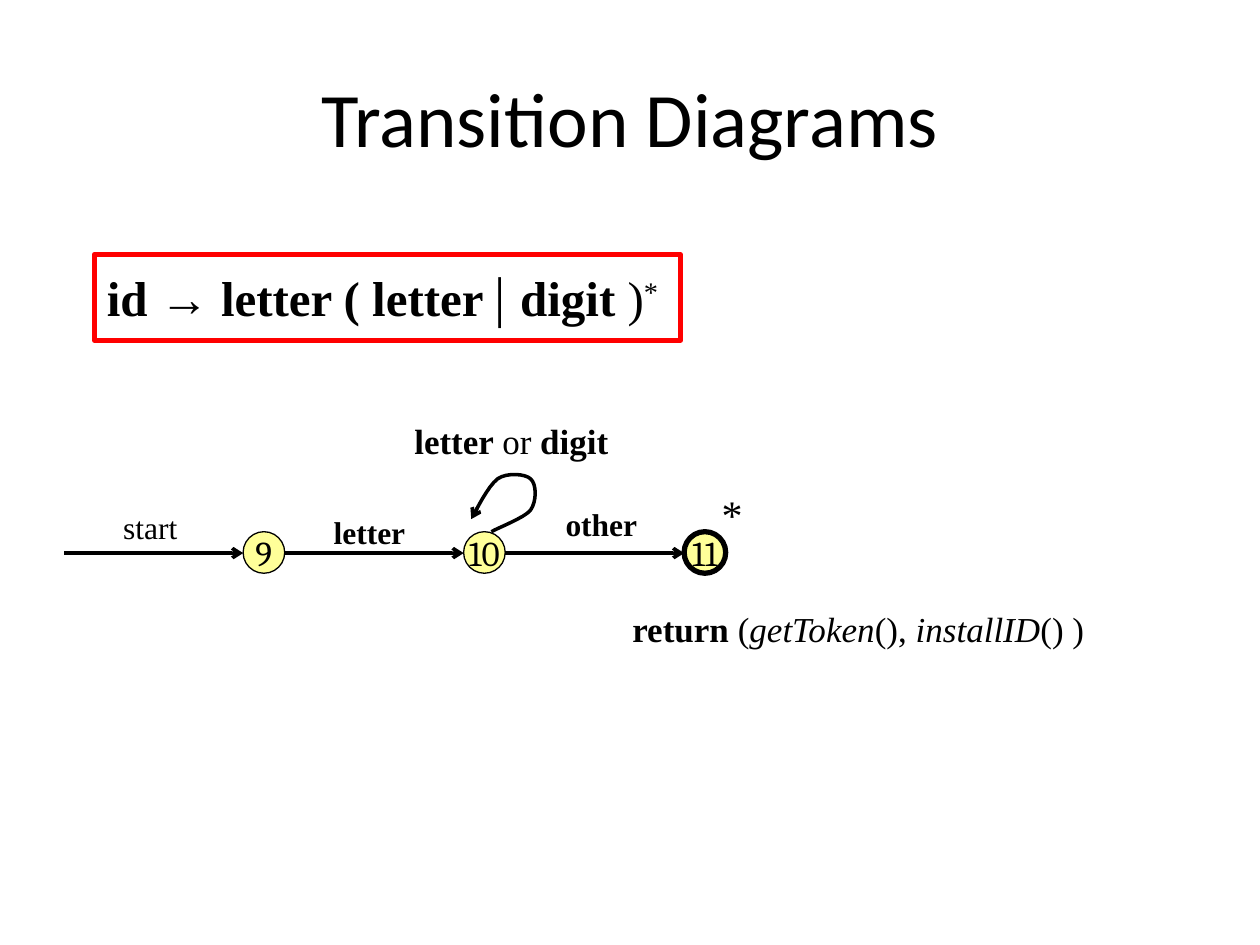
from dataclasses import dataclass

from lxml.etree import SubElement
from pptx import Presentation
from pptx.dml.color import RGBColor
from pptx.enum.shapes import MSO_CONNECTOR, MSO_SHAPE
from pptx.enum.text import MSO_ANCHOR, MSO_AUTO_SIZE, PP_ALIGN
from pptx.oxml.ns import qn
from pptx.util import Inches, Pt


@dataclass(frozen=True)
class Theme:
    ink: RGBColor = RGBColor(0, 0, 0)
    state_fill: RGBColor = RGBColor(0xFF, 0xFF, 0x99)
    frame: RGBColor = RGBColor(0xFF, 0, 0)
    title_font: str = "Calibri"
    state_font: str = "Cambria"
    label_font: str = "Times New Roman"
    title_size: int = 44
    rule_size: int = 28
    bar_size: int = 32
    star_size: int = 24
    phrase_size: int = 20
    label_size: int = 18
    thin: float = 0.75
    edge: float = 2
    thick: float = 3


@dataclass(frozen=True)
class Part:
    text: str
    bold: bool = False
    italic: bool = False
    size: int = 0
    raised: bool = False


class DiagramSlide:
    def __init__(self, slide, theme):
        self.slide = slide
        self.shapes = slide.shapes
        self.theme = theme

    def style(self, paragraph, font_name, size, align=PP_ALIGN.LEFT):
        paragraph.alignment = align
        paragraph.font.name = font_name
        paragraph.font.size = Pt(size)
        paragraph.font.color.rgb = self.theme.ink

    def outline(self, item, color, width):
        item.line.color.rgb = color
        item.line.width = Pt(width)

    def arrowhead(self, item):
        line = item.line._get_or_add_ln()
        SubElement(line, qn("a:tailEnd"), type="arrow")

    def title(self, text, left, top, width, height):
        title = self.shapes.title
        title.left, title.top = Inches(left), Inches(top)
        title.width, title.height = Inches(width), Inches(height)
        title.text_frame.text = text
        title.text_frame.vertical_anchor = MSO_ANCHOR.MIDDLE
        self.style(title.text_frame.paragraphs[0], self.theme.title_font,
                   self.theme.title_size, PP_ALIGN.CENTER)

    def fill_text(self, frame, parts, size, wrap=False):
        frame.word_wrap = wrap
        frame.auto_size = MSO_AUTO_SIZE.SHAPE_TO_FIT_TEXT
        paragraph = frame.paragraphs[0]
        self.style(paragraph, self.theme.label_font, size)
        same_weight = len({part.bold for part in parts}) == 1
        if same_weight:
            paragraph.font.bold = parts[0].bold
        for part in parts:
            run = paragraph.add_run()
            run.text = part.text
            if not same_weight:
                run.font.bold = part.bold
            if part.italic:
                run.font.italic = True
            if part.size:
                run.font.size = Pt(part.size)
            if part.raised:
                run._r.get_or_add_rPr().set("baseline", "30000")

    def label(self, parts, left, top, width, height, size, wrap=False):
        box = self.shapes.add_textbox(Inches(left), Inches(top), Inches(width), Inches(height))
        self.fill_text(box.text_frame, parts, size, wrap)

    def rule(self, parts, left, top, width, height):
        frame = self.shapes.add_shape(MSO_SHAPE.RECTANGLE, Inches(left), Inches(top),
                                      Inches(width), Inches(height))
        frame.shadow.inherit = False
        frame.fill.background()
        self.outline(frame, self.theme.frame, self.theme.thick)
        frame.text_frame.vertical_anchor = MSO_ANCHOR.TOP
        self.fill_text(frame.text_frame, parts, self.theme.rule_size)

    def state(self, number, left, top, diameter, line_width):
        circle = self.shapes.add_shape(MSO_SHAPE.OVAL, Inches(left), Inches(top),
                                       Inches(diameter), Inches(diameter))
        circle.shadow.inherit = False
        circle.fill.solid()
        circle.fill.fore_color.rgb = self.theme.state_fill
        self.outline(circle, self.theme.ink, line_width)
        circle.text_frame.text = number
        circle.text_frame.word_wrap = False
        circle.text_frame.vertical_anchor = MSO_ANCHOR.MIDDLE
        self.style(circle.text_frame.paragraphs[0], self.theme.state_font,
                   self.theme.phrase_size, PP_ALIGN.CENTER)

    def transition(self, start, end, level):
        edge = self.shapes.add_connector(MSO_CONNECTOR.STRAIGHT, Inches(start), Inches(level),
                                         Inches(end), Inches(level))
        self.outline(edge, self.theme.ink, self.theme.edge)
        self.arrowhead(edge)
        SubElement(edge._element.spPr, qn("a:effectLst"))

    def loop(self, start, curves, steps=8):
        points = []
        origin = start
        for first, second, end in curves:
            for step in range(1, steps + 1):
                t = step / steps
                points.append(tuple(
                    Inches((1 - t) ** 3 * a + 3 * (1 - t) ** 2 * t * b
                           + 3 * (1 - t) * t ** 2 * c + t ** 3 * d)
                    for a, b, c, d in zip(origin, first, second, end)))
            origin = end
        builder = self.shapes.build_freeform(Inches(start[0]), Inches(start[1]))
        builder.add_line_segments(points, close=False)
        curve = builder.convert_to_shape()
        curve.shadow.inherit = False
        curve.fill.background()
        self.outline(curve, self.theme.ink, self.theme.edge)
        self.arrowhead(curve)


def main():
    theme = Theme()
    presentation = Presentation()
    presentation.slide_width, presentation.slide_height = Inches(10), Inches(7.5)
    diagram = DiagramSlide(presentation.slides.add_slide(presentation.slide_layouts[5]), theme)

    diagram.title("Transition Diagrams", 0.5, 0.3, 9, 1.25)
    diagram.rule([
        Part("id ", bold=True), Part("→ "), Part("letter ( letter ", bold=True),
        Part("| ", size=theme.bar_size), Part("digit", bold=True), Part(" )"),
        Part("*", raised=True),
    ], 0.75, 2.02, 4.65, 0.68)

    diameter, pitch, first_state, level = 0.33, 1.75, 1.93, 4.39
    states = [("9", theme.thin), ("10", theme.thin), ("11", theme.thick)]
    for index, (number, line_width) in enumerate(states):
        left = first_state + index * pitch
        diagram.transition(left - pitch + diameter, left, level)
        diagram.state(number, left, 4.22, diameter, line_width)

    diagram.loop((3.9, 4.22), [
        ((3.95, 4.19), (4.16, 4.11), (4.21, 4.05)),
        ((4.26, 3.98), (4.26, 3.84), (4.21, 3.8)),
        ((4.17, 3.76), (4.02, 3.75), (3.95, 3.8)),
        ((3.87, 3.86), (3.78, 4.05), (3.74, 4.12)),
    ])

    diagram.label([Part("start")], 0.88, 3.98, 0.63, 0.4, theme.label_size)
    diagram.label([Part("letter", bold=True)], 2.55, 4.02, 0.77, 0.4, theme.label_size)
    diagram.label([Part("other", bold=True)], 4.39, 3.96, 0.77, 0.4, theme.label_size)
    diagram.label([Part("*")], 5.63, 3.83, 0.37, 0.5, theme.star_size)
    diagram.label([Part("letter ", bold=True), Part("or"), Part(" digit", bold=True)],
                  3.19, 3.28, 1.74, 0.43, theme.phrase_size)
    diagram.label([
        Part("return ", bold=True), Part("("), Part("getToken", italic=True), Part("(), "),
        Part("installID", italic=True), Part("() )"),
    ], 4.92, 4.77, 3.94, 0.43, theme.phrase_size, wrap=True)

    presentation.save("out.pptx")


if __name__ == "__main__":
    main()
